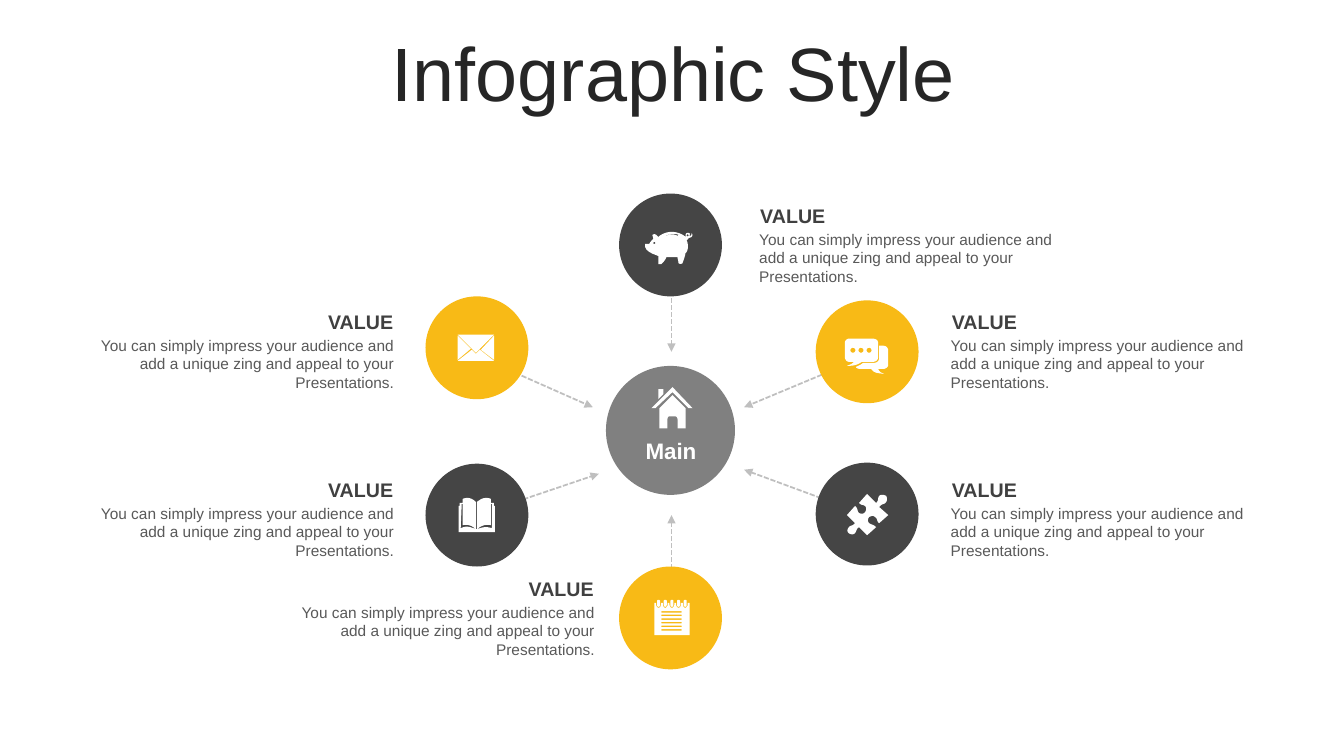
import pptx
import pptx.util
import pptx.dml.color
import pptx.enum.dml
import pptx.enum.shapes
import pptx.enum.text
from lxml import etree
from pptx.oxml.ns import qn

Inches = pptx.util.Inches
RGB = pptx.dml.color.RGBColor
ALIGN = pptx.enum.text.PP_ALIGN
ANCHOR = pptx.enum.text.MSO_ANCHOR

YELLOW = RGB(0xF8, 0xBA, 0x16)
DARK = RGB(0x45, 0x45, 0x45)
HUB_GREY = RGB(0x80, 0x80, 0x80)
ARROW_GREY = RGB(0xBF, 0xBF, 0xBF)
WHITE = RGB(0xFF, 0xFF, 0xFF)
TITLE_INK = RGB(0x26, 0x26, 0x26)
HEADING_INK = RGB(0x40, 0x40, 0x40)
BODY_INK = RGB(0x59, 0x59, 0x59)

# Content
TITLE = "Infographic Style"
HUB = "Main"
HEADING = "VALUE"
BODY = ("You can simply impress your audience and add a unique zing "
        "and appeal to your Presentations.")

# circle corner, colour, arrow from, arrow to, heading corner, text width, align
SPOKES = [
    ((4.22, 2.94), YELLOW, (4.73, 3.53), (5.88, 4.04), (0.95, 3.07), 2.96, ALIGN.RIGHT),
    ((6.14, 1.92), DARK, (6.66, 2.75), (6.66, 3.49), (7.53, 2.02), 3.11, ALIGN.LEFT),
    ((8.09, 2.98), YELLOW, (8.6, 3.53), (7.38, 4.04), (9.43, 3.07), 2.96, ALIGN.LEFT),
    ((8.09, 4.59), DARK, (8.6, 5.11), (7.38, 4.66), (9.43, 4.74), 2.96, ALIGN.LEFT),
    ((6.14, 5.62), YELLOW, (6.66, 6.13), (6.66, 5.11), (2.95, 5.72), 2.95, ALIGN.RIGHT),
    ((4.22, 4.6), DARK, (4.73, 5.11), (5.94, 4.7), (0.95, 4.74), 2.96, ALIGN.RIGHT),
]
SPOKE_SIZE = 1.02
HUB_AT, HUB_SIZE = (6.01, 3.63), 1.28


# Icon outlines: M, L, C and Z commands in hundredths of an inch
def dot(x, y, r):
    k = 0.55 * r
    return (f"M {x - r} {y} C {x - r} {y - k} {x - k} {y - r} {x} {y - r} "
            f"C {x + k} {y - r} {x + r} {y - k} {x + r} {y} "
            f"C {x + r} {y + k} {x + k} {y + r} {x} {y + r} "
            f"C {x - k} {y + r} {x - r} {y + k} {x - r} {y} Z ")


def notepad():
    rules = "".join(f"M 7 {y} L 27 {y} L 27 {y + 1.5} L 7 {y + 1.5} Z "
                    for y in (11.2 + 3.6 * i for i in range(6)))
    centres = [4.2 + 6.6 * i for i in range(5)]
    notches = "".join(f"L {x - 2.4} 3 L {x - 2.4} 5 C {x - 2.4} 6 {x - 1.4} 8 {x} 8 "
                      f"C {x + 1.4} 8 {x + 2.4} 6 {x + 2.4} 5 L {x + 2.4} 3 "
                      for x in centres)
    rings = "".join(f"M {x} 0 C {x + 1} 0 {x + 1.5} 1 {x + 1.5} 1 L {x + 1.5} 5 "
                    f"C {x + 1.5} 6 {x + 1} 7 {x} 7 C {x - 1} 7 {x - 1.5} 6 {x - 1.5} 5 "
                    f"L {x - 1.5} 1 C {x - 1.5} 1 {x - 1} 0 {x} 0 Z "
                    for x in centres)
    return rules + "M 0 3 " + notches + "L 35 3 L 35 35 L 0 35 Z " + rings


ENVELOPE = ("M 22 15 L 36 26 L 0 26 L 14 15 L 18 19 Z M 36 1 L 36 25 L 23 15 Z "
            "M 0 1 L 13 14 L 0 25 Z M 0 0 L 36 0 L 18 18 Z")
PUZZLE = ("M 39 2 C 40 4 40 6 39 8 C 37 11 35 9 32 13 L 41 21 L 32 29 "
          "C 29 27 31 25 28 23 C 26 21 24 22 22 23 C 21 24 20 27 22 29 "
          "C 25 31 26 30 29 33 L 20 41 L 12 33 C 9 35 10 36 8 39 C 6 41 3 40 2 39 "
          "C 0 38 0 35 2 33 C 3 31 6 32 8 29 L 0 21 L 8 12 C 11 14 10 17 12 19 "
          "C 14 20 17 20 18 18 C 19 17 20 14 18 12 C 15 10 15 12 12 9 L 20 0 L 29 9 "
          "C 32 6 30 5 32 2 C 34 0 37 1 39 2 Z")
BOOK = ("M 17 31 L 18 31 C 24 29 27 28 33 30 L 33 6 L 32 6 L 32 27 C 27 26 23 27 18 31 "
        "L 18 4 C 21 2 23 0 27 0 C 28 0 30 0 32 1 L 32 5 L 35 5 L 35 8 L 36 8 L 36 34 "
        "L 0 34 L 0 8 L 1 8 L 1 5 L 4 5 L 4 1 C 6 0 8 0 9 0 C 12 0 15 2 17 4 L 17 31 "
        "C 13 27 8 26 4 27 L 4 6 L 3 6 L 2 30 C 8 27 12 29 17 31 Z")
CHAT = ("".join(dot(x, 11.5, 2.5) for x in (8, 16, 24)) +
        "M 34 7 L 38 7 C 41 7 43 9 43 12 L 43 26 C 43 28 41 30 38 30 L 33 30 "
        "C 34 32 34 33 39 35 C 31 34 29 34 26 30 L 15 30 C 13 30 11 29 11 28 "
        "C 13 27 16 26 18 24 L 29 24 C 32 24 34 22 34 19 Z "
        "M 4 0 L 28 0 C 31 0 33 2 33 4 L 33 18 C 33 21 31 23 28 23 L 17 23 "
        "C 12 26 10 27 2 27 C 7 25 7 25 9 23 L 4 23 C 2 23 0 21 0 18 L 0 4 "
        "C 0 2 2 0 4 0 Z")
HOUSE = ("M 21 8 L 34 21 L 34 41 L 26 41 L 26 32 C 26 30 25 29 23 29 L 18 29 "
         "C 17 29 16 30 16 32 L 16 41 L 8 41 L 8 21 Z M 7 2 L 12 2 L 12 7 L 7 12 Z "
         "M 21 0 L 41 21 L 37 21 L 21 5 L 4 21 L 0 21 Z")
PIG = (dot(9, 11, 1) + dot(42, 3.5, 1) +
       "M 27 2 C 24 2 22 3 20 4 L 21 4 C 24 2 29 2 32 4 L 33 3 C 31 2 29 2 27 2 Z "
       "M 26 0 C 31 0 37 2 40 5 L 41 6 C 40 5 40 5 40 3 C 40 2 41 1 42 1 "
       "C 44 1 45 2 44 3 L 44 4 C 45 4 46 4 46 1 C 48 4 46 6 43 6 C 43 7 42 8 41 8 "
       "L 42 11 C 43 15 42 20 40 21 C 39 26 38 28 37 31 C 37 32 33 32 33 31 "
       "C 33 29 32 27 32 25 C 28 25 23 25 21 25 C 20 28 18 30 16 32 L 13 32 "
       "C 13 32 13 27 13 24 C 8 22 -2 19 0 12 L 4 12 C 5 10 6 9 8 7 "
       "C 8 6 7 3 7 3 C 11 1 11 4 13 5 C 16 2 22 0 26 0 Z")
ICONS = [
    (ENVELOPE, 4.54, 3.32), (notepad(), 6.49, 5.95), (PUZZLE, 8.4, 4.9),
    (BOOK, 4.55, 4.94), (CHAT, 8.38, 3.36), (HOUSE, 6.46, 3.84), (PIG, 6.4, 2.3),
]

deck = pptx.Presentation()
deck.slide_width, deck.slide_height = Inches(13.33), Inches(7.5)
slide = deck.slides.add_slide(deck.slide_layouts[6])


def add_text(text, left, top, width, height, *, size, color, bold=False,
             align=ALIGN.LEFT, anchor=ANCHOR.TOP, spacing=None):
    box = slide.shapes.add_textbox(*map(Inches, (left, top, width, height)))
    frame = box.text_frame
    frame.word_wrap = True
    frame.vertical_anchor = anchor
    frame.margin_left = frame.margin_right = frame.margin_top = frame.margin_bottom = 0
    line = frame.paragraphs[0]
    line.alignment, line.line_spacing = align, spacing
    run = line.add_run()
    run.text = text
    run.font.name, run.font.size, run.font.bold = "Arial", pptx.util.Pt(size), bold
    run.font.color.rgb = color


def paint(shape, color):
    shape.shadow.inherit = False
    shape.fill.solid()
    shape.fill.fore_color.rgb = color
    shape.line.fill.background()


def add_circle(corner, size, color):
    paint(slide.shapes.add_shape(pptx.enum.shapes.MSO_SHAPE.OVAL,
                                 *map(Inches, (*corner, size, size))), color)


def add_arrow(start, end):
    arrow = slide.shapes.add_connector(pptx.enum.shapes.MSO_CONNECTOR.STRAIGHT,
                                       *map(Inches, (*start, *end)))
    arrow.line.color.rgb = ARROW_GREY
    arrow.line.width = pptx.util.Pt(1.25)
    arrow.line.dash_style = pptx.enum.dml.MSO_LINE.SQUARE_DOT
    etree.SubElement(arrow.line._get_or_add_ln(), qn("a:tailEnd"), type="triangle")
    etree.SubElement(arrow._element.spPr, qn("a:effectLst"))


def contours(outline, steps=6):
    """Turn an outline into lists of points, sampling each curve."""
    for part in outline.split("M")[1:]:
        tokens = part.replace("Z", "").replace("L", "|L").replace("C", "|C").split("|")
        points = [tuple(map(float, tokens[0].split()))]
        for token in tokens[1:]:
            values = list(map(float, token[1:].split()))
            ends = list(zip(values[::2], values[1::2]))
            if token[0] == "L":
                points += ends
                continue
            curve = [points[-1], *ends]
            for t in (i / steps for i in range(1, steps + 1)):
                weights = ((1 - t) ** 3, 3 * t * (1 - t) ** 2, 3 * t * t * (1 - t), t ** 3)
                points.append(tuple(sum(w * p[axis] for w, p in zip(weights, curve))
                                    for axis in (0, 1)))
        yield points


def add_icon(outline, left, top):
    builder = None
    for points in contours(outline):
        first, *rest = [(Inches(x / 100), Inches(y / 100)) for x, y in points]
        if builder is None:
            builder = slide.shapes.build_freeform(*first)
        else:
            builder.move_to(*first)
        builder.add_line_segments(rest, close=True)
    paint(builder.convert_to_shape(Inches(left), Inches(top)), WHITE)


# Title
add_text(TITLE, 0.35, 0.37, 12.66, 0.79, size=54, color=TITLE_INK,
         align=ALIGN.CENTER, anchor=ANCHOR.MIDDLE, spacing=0.9)

# Arrows lie behind the circles
for _, _, start, end, *_ in SPOKES:
    add_arrow(start, end)
add_circle(HUB_AT, HUB_SIZE, HUB_GREY)

# Circles with their callouts
for corner, color, _, _, (left, top), width, align in SPOKES:
    add_circle(corner, SPOKE_SIZE, color)
    add_text(BODY, left, top + 0.26, width, 0.37, size=11, color=BODY_INK, align=align)
    add_text(HEADING, left + 0.01, top, width - 0.02, 0.24, size=14,
             color=HEADING_INK, bold=True, align=align)

# Hub label and icons
add_text(HUB, 6.02, 4.34, 1.27, 0.27, size=16, color=WHITE, bold=True, align=ALIGN.CENTER)
for icon in ICONS:
    add_icon(*icon)

deck.save("out.pptx")
